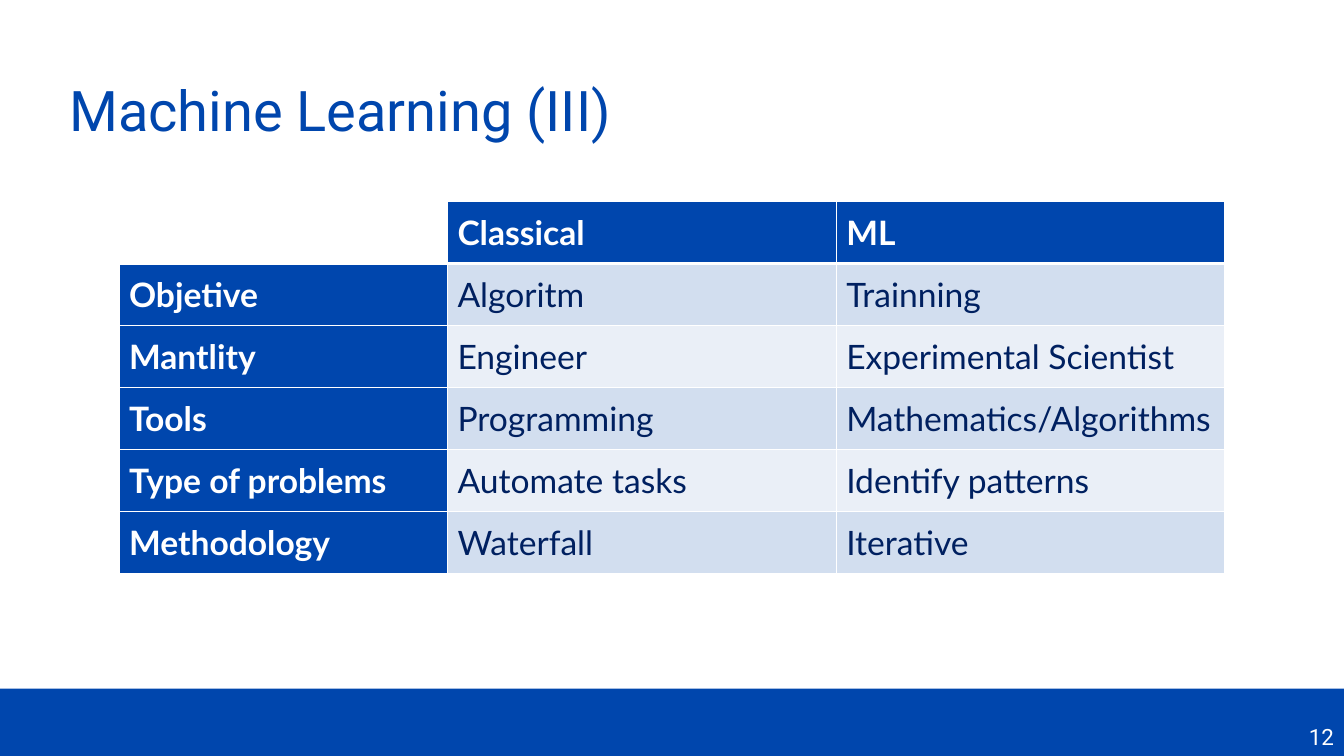
from lxml.etree import SubElement
from pptx import Presentation
from pptx.dml.color import RGBColor as RGB
from pptx.enum.shapes import MSO_SHAPE as SHAPE
from pptx.enum.text import MSO_ANCHOR as ANCHOR, PP_ALIGN as ALIGN
from pptx.oxml.ns import qn
from pptx.util import Pt

COLORS = {"blue": "0046AD", "navy": "002060", "white": "FFFFFF",
          "band_dark": "D2DEEF", "band_light": "EAEFF7"}

ROWS = [
    ("", "Classical", "ML"),
    ("Objetive", "Algoritm", "Trainning"),
    ("Mantlity", "Engineer", "Experimental Scientist"),
    ("Tools", "Programming", "Mathematics/Algorithms"),
    ("Type of problems", "Automate tasks", "Identify patterns"),
    ("Methodology", "Waterfall", "Iterative"),
]


def color(name):
    return RGB.from_string(COLORS[name])


def write(tf, text, font, size, ink, bold=False):
    tf.text = text
    p = tf.paragraphs[0]
    for r in p.runs:
        r.font.name, r.font.size, r.font.bold = font, Pt(size), bold
        r.font.color.rgb = color(ink)
    return p


def set_border(cell, side, width):
    ln = SubElement(cell._tc.get_or_add_tcPr(), qn(f"a:ln{side}"), w=str(Pt(width)))
    fill = SubElement(ln, qn("a:solidFill"))
    SubElement(fill, qn("a:srgbClr"), val=COLORS["white"])


def add_footer(s, x, y, w, h, number):
    bar = s.shapes.add_shape(SHAPE.RECTANGLE, Pt(x), Pt(y), Pt(w), Pt(h))
    bar.shadow.inherit = False
    bar.fill.solid()
    bar.fill.fore_color.rgb = color("blue")
    bar.line.fill.background()
    tf = bar.text_frame
    tf.vertical_anchor = ANCHOR.BOTTOM
    tf.margin_bottom = Pt(6.8)
    write(tf, number, "Roboto", 16, "white").alignment = ALIGN.RIGHT


def add_title(s, x, y, w, h, text):
    tf = s.shapes.add_textbox(Pt(x), Pt(y), Pt(w), Pt(h)).text_frame
    tf.word_wrap = True
    tf.vertical_anchor = ANCHOR.MIDDLE
    write(tf, text, "Roboto", 40, "blue").line_spacing = 0.9


def add_comparison(s, x, y, w, h, rows, label_w):
    n_cols = len(rows[0])
    table = s.shapes.add_table(len(rows), n_cols, Pt(x), Pt(y), Pt(w), Pt(h)).table
    table.first_col = True
    for j, col in enumerate(table.columns):
        col.width = Pt((w - label_w) / (n_cols - 1) if j else label_w)
    for i, texts in enumerate(rows):
        table.rows[i].height = Pt(h / len(rows))
        for j, text in enumerate(texts):
            cell = table.cell(i, j)
            header = i == 0 or j == 0
            # A thick rule separates the header row from the body
            for side in "LRTB":
                thick = (side, i) in (("B", 0), ("T", 1))
                set_border(cell, side, 3 if thick else 1)
            band = "band_dark" if i % 2 else "band_light"
            fill = "white" if i == j == 0 else "blue" if header else band
            cell.fill.solid()
            cell.fill.fore_color.rgb = color(fill)
            cell.vertical_anchor = ANCHOR.MIDDLE
            write(cell.text_frame, text, "Lato", 24,
                  "white" if header else "navy", header)


def main():
    prs = Presentation()
    prs.slide_width, prs.slide_height = Pt(960), Pt(540)
    s = prs.slides.add_slide(prs.slide_layouts[6])
    # Footer bar with the slide number
    add_footer(s, 0, 491.8, 960, 51, "12")
    # Title
    add_title(s, 42.5, 28.8, 852, 104.4, "Machine Learning (III)")
    # Comparison table
    add_comparison(s, 85, 144, 790, 265.8, ROWS, label_w=234.6)
    prs.save("out.pptx")


if __name__ == "__main__":
    main()
